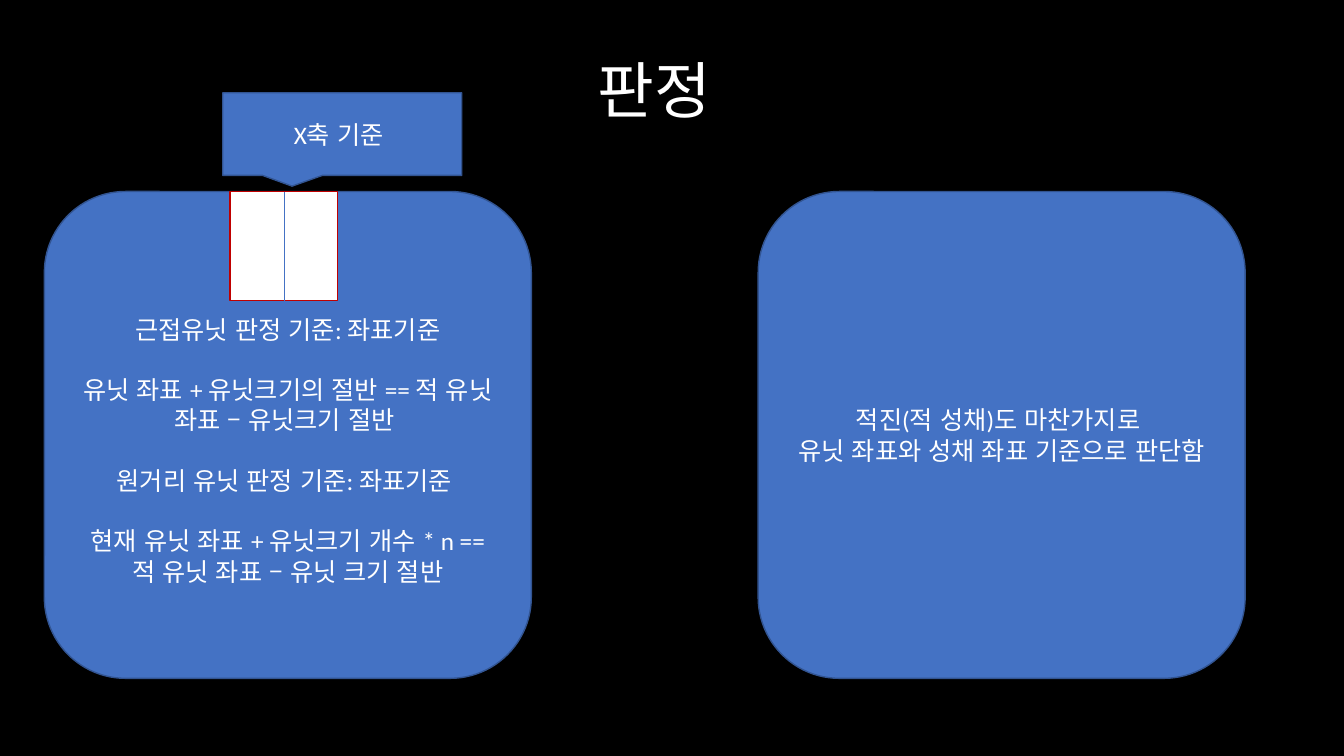
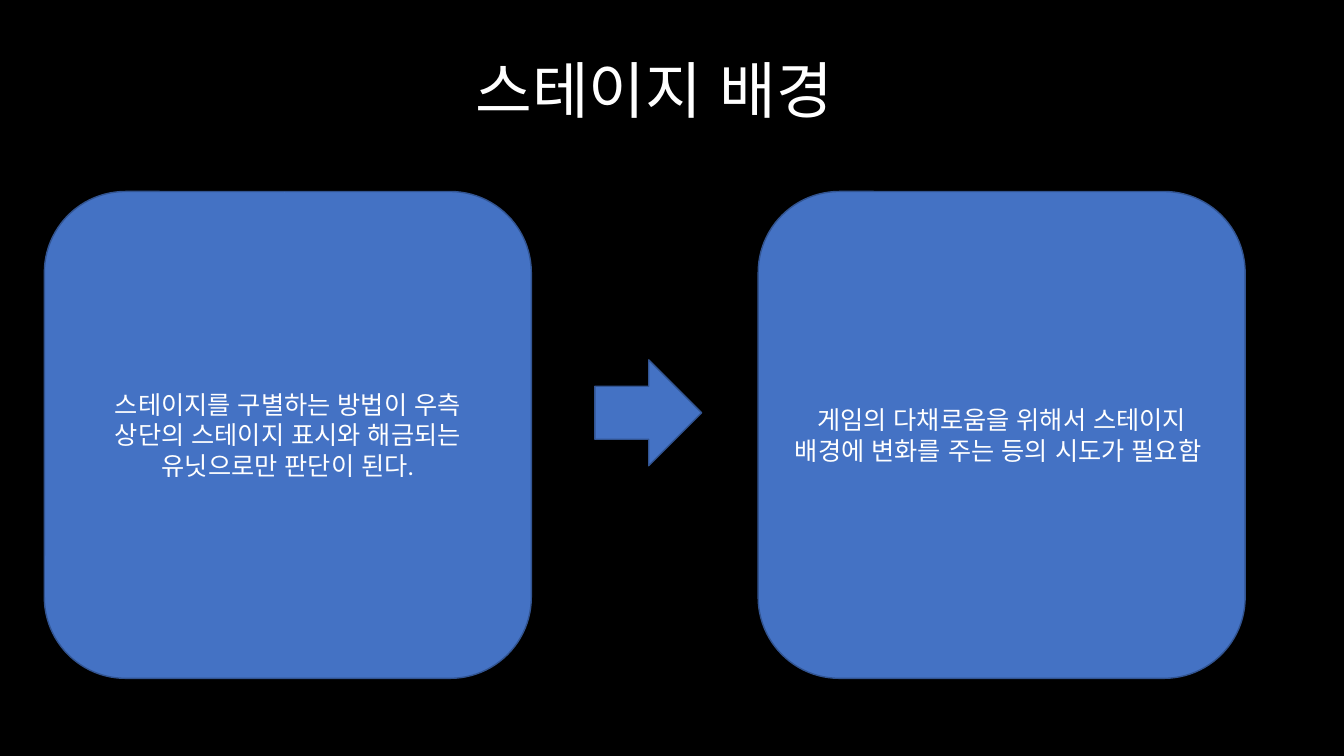
from dataclasses import dataclass

from lxml.etree import SubElement
from pptx import Presentation
from pptx.dml.color import RGBColor
from pptx.enum.lang import MSO_LANGUAGE_ID as Language
from pptx.enum.shapes import MSO_CONNECTOR, MSO_SHAPE as Preset
from pptx.enum.text import MSO_ANCHOR, MSO_AUTO_SIZE, PP_ALIGN
from pptx.oxml.ns import qn
from pptx.shapes.autoshape import Shape
from pptx.slide import Slide
from pptx.text.text import TextFrame
from pptx.util import Inches, Pt

BLACK = RGBColor(0x00, 0x00, 0x00)
WHITE = RGBColor(0xFF, 0xFF, 0xFF)
BLUE = RGBColor(0x44, 0x72, 0xC4)
DARK_BLUE = RGBColor(0x32, 0x54, 0x91)
RED = RGBColor(0xC0, 0x00, 0x00)
FONT = "Calibri"
TITLE_ONLY = 5

PANEL_TOP = 1.9
PANEL_SIZE = 4.83
PANEL_LEFTS = (0.44, 7.52)
BODY_SIZE = 18
BLANK_LINE = BODY_SIZE * 1.2
AXIS_X = 2.82
AXIS_BOTTOM = 3.05


@dataclass(frozen=True)
class Box:
    left: float
    top: float
    width: float
    height: float


@dataclass(frozen=True)
class Panel:
    lines: tuple[str, ...]
    gaps: tuple[int, ...] = ()
    top_inset: float = 0.05
    side_inset: float = 0.1


TITLE_BOX = Box(0.57, 0.4, 11.84, 1.05)
UNIT_BOX = Box(2.28, PANEL_TOP, 1.07, 1.08)
CALLOUT_BOX = Box(2.21, 0.92, 2.37, 0.82)
ARROW_BOX = Box(5.9, 3.57, 1.06, 1.05)

JUDGEMENT_PANELS = (
    Panel(
        (
            "근접유닛 판정 기준: 좌표기준",
            "유닛 좌표 + 유닛크기의 절반 == 적 유닛 좌표 – 유닛크기 절반 ",
            "원거리 유닛 판정 기준: 좌표기준 ",
            "현재 유닛 좌표 + 유닛크기 개수 * n == 적 유닛 좌표 – 유닛 크기 절반",
        ),
        gaps=(1, 2, 3),
        top_inset=0.35,
    ),
    Panel(("적진(적 성채)도 마찬가지로 ", "유닛 좌표와 성채 좌표 기준으로 판단함")),
)
STAGE_PANELS = (
    Panel(
        ("스테이지를 구별하는 방법이 우측 상단의 스테이지 표시와 해금되는 유닛으로만 판단이 된다.",),
        side_inset=0.2,
    ),
    Panel(("게임의 다채로움을 위해서 스테이지 배경에 변화를 주는 등의 시도가 필요함 ",)),
)


def write_text(
    frame: TextFrame,
    lines: tuple[str, ...],
    *,
    size: float = BODY_SIZE,
    color: RGBColor = WHITE,
    line_spacing: float = 1.0,
    gaps: tuple[int, ...] = (),
    top_inset: float = 0.05,
    side_inset: float = 0.1,
) -> None:
    frame.word_wrap = True
    frame.auto_size = MSO_AUTO_SIZE.NONE
    frame.vertical_anchor = MSO_ANCHOR.MIDDLE
    frame.margin_top = Inches(top_inset)
    frame.margin_left = frame.margin_right = Inches(side_inset)
    for index, line in enumerate(lines):
        para = frame.paragraphs[0] if index == 0 else frame.add_paragraph()
        para.alignment = PP_ALIGN.CENTER
        para.line_spacing = line_spacing
        para.space_before = Pt(BLANK_LINE if index in gaps else 0)
        span = para.add_run()
        span.text = line
        span.font.name = FONT
        span.font.size = Pt(size)
        span.font.color.rgb = color
        span.font.language_id = Language.KOREAN


def add_box(
    page: Slide,
    preset: Preset,
    box: Box,
    fill: RGBColor = BLUE,
    line: RGBColor = DARK_BLUE,
) -> Shape:
    shape = page.shapes.add_shape(
        preset, Inches(box.left), Inches(box.top), Inches(box.width), Inches(box.height)
    )
    shape.shadow.inherit = False
    shape.fill.solid()
    shape.fill.fore_color.rgb = fill
    shape.line.color.rgb = line
    shape.line.width = Pt(1)
    return shape


def add_axis(page: Slide) -> None:
    axis = page.shapes.add_connector(
        MSO_CONNECTOR.STRAIGHT,
        Inches(AXIS_X), Inches(PANEL_TOP), Inches(AXIS_X), Inches(AXIS_BOTTOM),
    )
    axis.line.color.rgb = BLUE
    axis.line.width = Pt(0.5)
    SubElement(axis._element.spPr, qn("a:effectLst"))


def add_page(deck: Presentation, heading: str, panels: tuple[Panel, ...]) -> Slide:
    page = deck.slides.add_slide(deck.slide_layouts[TITLE_ONLY])
    title = page.shapes.title
    title.left, title.top = Inches(TITLE_BOX.left), Inches(TITLE_BOX.top)
    title.width, title.height = Inches(TITLE_BOX.width), Inches(TITLE_BOX.height)
    write_text(title.text_frame, (heading,), size=44, line_spacing=0.9)
    for left, panel in zip(PANEL_LEFTS, panels):
        box = Box(left, PANEL_TOP, PANEL_SIZE, PANEL_SIZE)
        shape = add_box(page, Preset.ROUNDED_RECTANGLE, box)
        write_text(
            shape.text_frame,
            panel.lines,
            gaps=panel.gaps,
            top_inset=panel.top_inset,
            side_inset=panel.side_inset,
        )
    return page


def add_judgement_page(deck: Presentation) -> None:
    page = add_page(deck, "판정", JUDGEMENT_PANELS)
    add_box(page, Preset.RECTANGLE, UNIT_BOX, fill=WHITE, line=RED)
    add_axis(page)
    callout = add_box(page, Preset.RECTANGULAR_CALLOUT, CALLOUT_BOX)
    callout.adjustments[0] = -0.21
    callout.adjustments[1] = 0.63
    write_text(callout.text_frame, ("X축 기준 ",))


def add_stage_page(deck: Presentation) -> None:
    page = add_page(deck, "스테이지 배경", STAGE_PANELS)
    add_axis(page)
    add_box(page, Preset.RIGHT_ARROW, ARROW_BOX)


def build_deck() -> None:
    deck = Presentation()
    deck.slide_width, deck.slide_height = Inches(13.33), Inches(7.5)
    backdrop = deck.slide_master.background.fill
    backdrop.solid()
    backdrop.fore_color.rgb = BLACK
    add_judgement_page(deck)
    add_stage_page(deck)
    deck.save("out.pptx")


build_deck()
